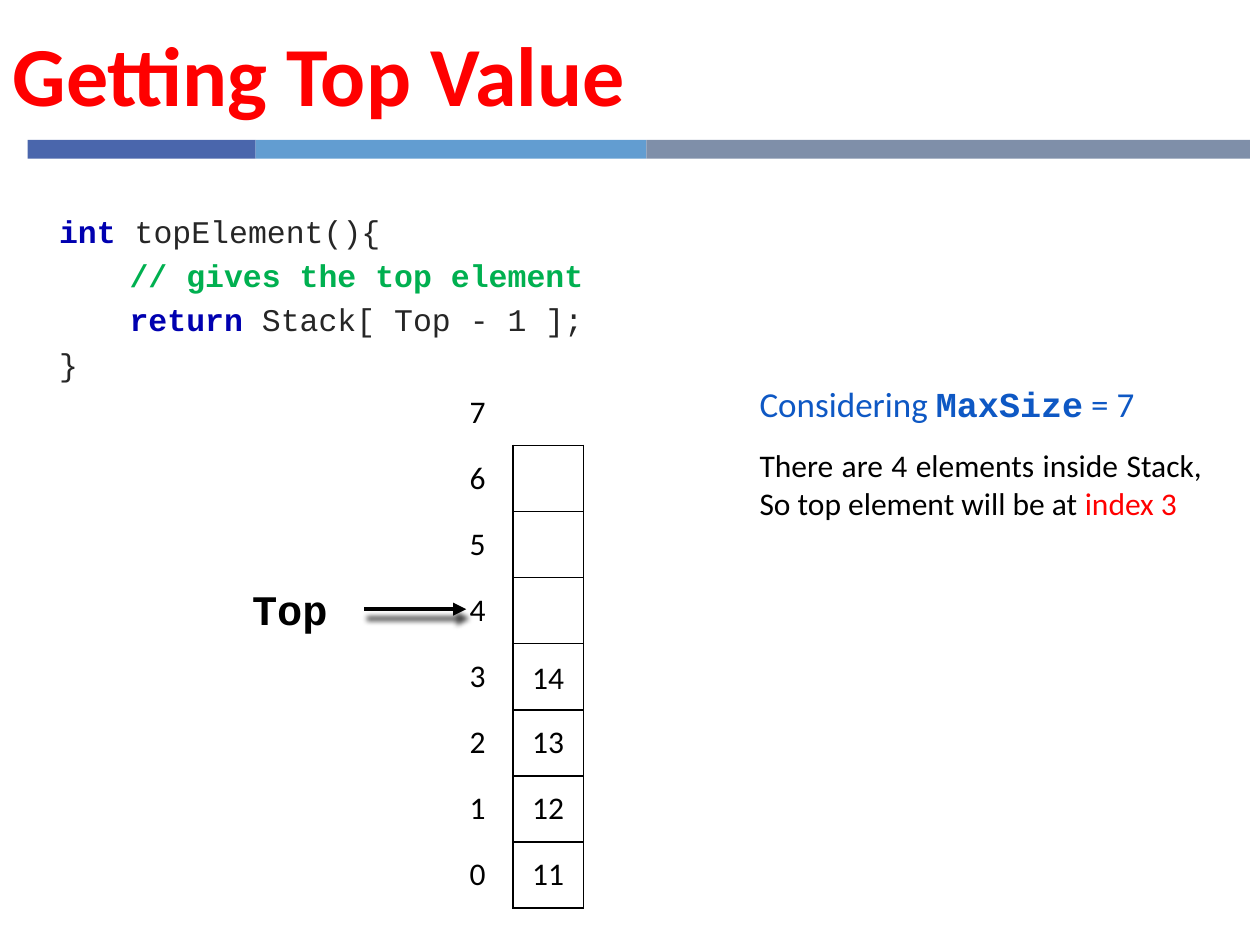
from typing import NamedTuple, Optional

import pptx
import pptx.dml.color
import pptx.enum.shapes
import pptx.enum.text
import pptx.oxml
import pptx.oxml.ns
import pptx.util
from pptx.util import Inches, Pt

RGBColor = pptx.dml.color.RGBColor
Anchor = pptx.enum.text.MSO_ANCHOR
Align = pptx.enum.text.PP_ALIGN

RED = RGBColor(0xFF, 0x00, 0x00)
BLACK = RGBColor(0x00, 0x00, 0x00)
WHITE = RGBColor(0xFF, 0xFF, 0xFF)
KEYWORD = RGBColor(0x00, 0x00, 0xB0)
CODE = RGBColor(0x26, 0x26, 0x26)
COMMENT = RGBColor(0x00, 0xB0, 0x50)
NOTE_BLUE = RGBColor(0x0E, 0x58, 0xC4)
BODY_FONT, CODE_FONT = "Calibri", "Courier New"
NAMESPACE = pptx.oxml.ns.nsdecls("a")


class Band(NamedTuple):
    left: float
    width: float
    color: RGBColor


class Piece(NamedTuple):
    text: str
    color: RGBColor
    bold: bool = False
    font: Optional[str] = None


BANDS = [
    Band(0.22, 1.81, RGBColor(0x4A, 0x66, 0xAC)),
    Band(2.03, 3.1, RGBColor(0x62, 0x9D, 0xD1)),
    Band(5.13, 4.79, RGBColor(0x7F, 0x8F, 0xA9)),
]
CODE_LINES = [
    [Piece("int ", KEYWORD, True), Piece("topElement(){", CODE)],
    [Piece("\t// gives the top element", COMMENT, True)],
    [Piece("\treturn ", KEYWORD, True), Piece("Stack[ Top - 1 ];", CODE)],
    [Piece("}", CODE)],
]
NOTE_LINES = [
    (20, [Piece("Considering ", NOTE_BLUE), Piece("MaxSize", NOTE_BLUE, True, CODE_FONT),
          Piece(" = 7", NOTE_BLUE)]),
    (18, [Piece("There are 4 elements inside Stack, So top element will be at ", BLACK),
          Piece("index 3", RED)]),
]
MAX_INDEX = 7
TABLE_LEFT, TABLE_TOP, CELL_WIDTH, ROW_HEIGHT = 3.51, 3.01, 0.56, 0.525
TABLE_VALUES = {0: "11", 1: "12", 2: "13"}
TOP_VALUE_INDEX, TOP_VALUE = 3, "14"


def set_font(paragraph, size: float, color: RGBColor, name: str = BODY_FONT, bold: bool = False) -> None:
    paragraph.font.name = name
    paragraph.font.size = Pt(size)
    paragraph.font.bold = bold
    paragraph.font.color.rgb = color


def add_rectangle(slide, left: float, top: float, width: float, height: float, color: RGBColor):
    shape = slide.shapes.add_shape(pptx.enum.shapes.MSO_SHAPE.RECTANGLE, Inches(left), Inches(top),
                                   Inches(width), Inches(height))
    shape.shadow.inherit = False
    shape.fill.solid()
    shape.fill.fore_color.rgb = color
    shape.line.fill.background()
    return shape


def add_text_frame(slide, left: float, top: float, width: float, height: float):
    box = slide.shapes.add_textbox(Inches(left), Inches(top), Inches(width), Inches(height))
    box.text_frame.word_wrap = True
    return box.text_frame


def add_pieces(paragraph, pieces: list[Piece], size: float, font: str) -> None:
    paragraph.font.name = font
    paragraph.font.size = Pt(size)
    for piece in pieces:
        run = paragraph.add_run()
        run.text = piece.text
        run.font.bold = piece.bold
        run.font.color.rgb = piece.color
        if piece.font:
            run.font.name = piece.font


def next_paragraph(frame, index: int):
    return frame.add_paragraph() if index else frame.paragraphs[0]


def add_title(slide) -> None:
    title = slide.shapes.title
    title.left, title.top, title.width, title.height = Inches(0), Inches(0.08), Inches(7.9), Inches(1)
    frame = title.text_frame
    frame.text = "Getting Top Value"
    frame.vertical_anchor = Anchor.MIDDLE
    frame.paragraphs[0].alignment = Align.LEFT
    set_font(frame.paragraphs[0], 48, RED, bold=True)


def add_code(slide) -> None:
    frame = add_text_frame(slide, 0.37, 1.69, 6.59, 1.67)
    for index, pieces in enumerate(CODE_LINES):
        paragraph = next_paragraph(frame, index)
        paragraph.line_spacing = 0.8
        paragraph.space_before = paragraph.space_after = Pt(4)
        properties = paragraph._p.get_or_add_pPr()
        properties.set("marL", str(Inches(0.56)))
        properties.set("indent", str(-Inches(0.56)))
        add_pieces(paragraph, pieces, 18, CODE_FONT)


def set_borders(cell, black_sides: str) -> None:
    """Draw the named sides (of L, R, T, B) in black and leave the others open."""
    for side in "LRTB":
        fill = '<a:solidFill><a:srgbClr val="000000"/></a:solidFill>' if side in black_sides else "<a:noFill/>"
        cell._tc.get_or_add_tcPr().append(pptx.oxml.parse_xml(
            f'<a:ln{side} {NAMESPACE} w="{Pt(1)}">{fill}</a:ln{side}>'))


def add_stack(slide) -> None:
    rows = MAX_INDEX + 1
    table = slide.shapes.add_table(rows, 2, Inches(TABLE_LEFT), Inches(TABLE_TOP),
                                   Inches(2 * CELL_WIDTH), Inches(rows * ROW_HEIGHT)).table
    table.first_row = table.horz_banding = False
    for column in table.columns:
        column.width = Inches(CELL_WIDTH)
    for row in range(rows):
        table.rows[row].height = Inches(ROW_HEIGHT)
        stack_index = MAX_INDEX - row
        contents = [(str(stack_index), "R" if row else ""),
                    (TABLE_VALUES.get(stack_index, ""), "LRTB" if row else "B")]
        for column, (text, sides) in enumerate(contents):
            cell = table.cell(row, column)
            set_borders(cell, sides)
            cell.fill.background()
            cell.text = text
            cell.vertical_anchor = Anchor.MIDDLE
            cell.text_frame.paragraphs[0].alignment = Align.CENTER
            set_font(cell.text_frame.paragraphs[0], 18, BLACK)


def add_top_value(slide) -> None:
    top = TABLE_TOP + (MAX_INDEX - TOP_VALUE_INDEX) * ROW_HEIGHT
    frame = add_text_frame(slide, TABLE_LEFT + CELL_WIDTH, top, CELL_WIDTH, ROW_HEIGHT)
    frame.text = TOP_VALUE
    frame.vertical_anchor = Anchor.MIDDLE
    frame.paragraphs[0].alignment = Align.CENTER
    set_font(frame.paragraphs[0], 18, BLACK)


def add_notes_text(slide) -> None:
    frame = add_text_frame(slide, 5.93, 2.99, 3.71, 1.21)
    for index, (size, pieces) in enumerate(NOTE_LINES):
        paragraph = next_paragraph(frame, index)
        paragraph.alignment = Align.JUSTIFY
        paragraph.space_after = Pt(12)
        add_pieces(paragraph, pieces, size, BODY_FONT)


def add_top_pointer(slide) -> None:
    label = add_rectangle(slide, 1.71, 4.62, 1.18, 0.43, WHITE)
    label.text_frame.text = "Top"
    label.text_frame.vertical_anchor = Anchor.MIDDLE
    label.text_frame.paragraphs[0].alignment = Align.CENTER
    set_font(label.text_frame.paragraphs[0], 24, BLACK, CODE_FONT, True)

    middle = label.top + label.height // 2
    arrow = slide.shapes.add_connector(pptx.enum.shapes.MSO_CONNECTOR.STRAIGHT,
                                       label.left + label.width, middle, Inches(3.7), middle)
    arrow.begin_connect(label, 3)
    arrow.line.color.rgb = BLACK
    arrow.line.width = Pt(2.5)
    arrow.line._get_or_add_ln().append(pptx.oxml.parse_xml(f'<a:tailEnd {NAMESPACE} type="triangle"/>'))
    arrow._element.spPr.append(pptx.oxml.parse_xml(
        f'<a:effectLst {NAMESPACE}><a:outerShdw blurRad="{Pt(3)}" dist="{Pt(5.5)}" dir="4320000">'
        '<a:srgbClr val="000000"><a:alpha val="75000"/></a:srgbClr></a:outerShdw></a:effectLst>'))


def main() -> None:
    presentation = pptx.Presentation()
    presentation.slide_width, presentation.slide_height = Inches(10), Inches(7.5)
    slide = presentation.slides.add_slide(presentation.slide_layouts[5])
    for band in BANDS:
        add_rectangle(slide, band.left, 1.11, band.width, 0.15, band.color)
    add_code(slide)
    add_stack(slide)
    add_notes_text(slide)
    add_top_pointer(slide)
    add_top_value(slide)
    add_title(slide)
    presentation.save("out.pptx")


if __name__ == "__main__":
    main()
